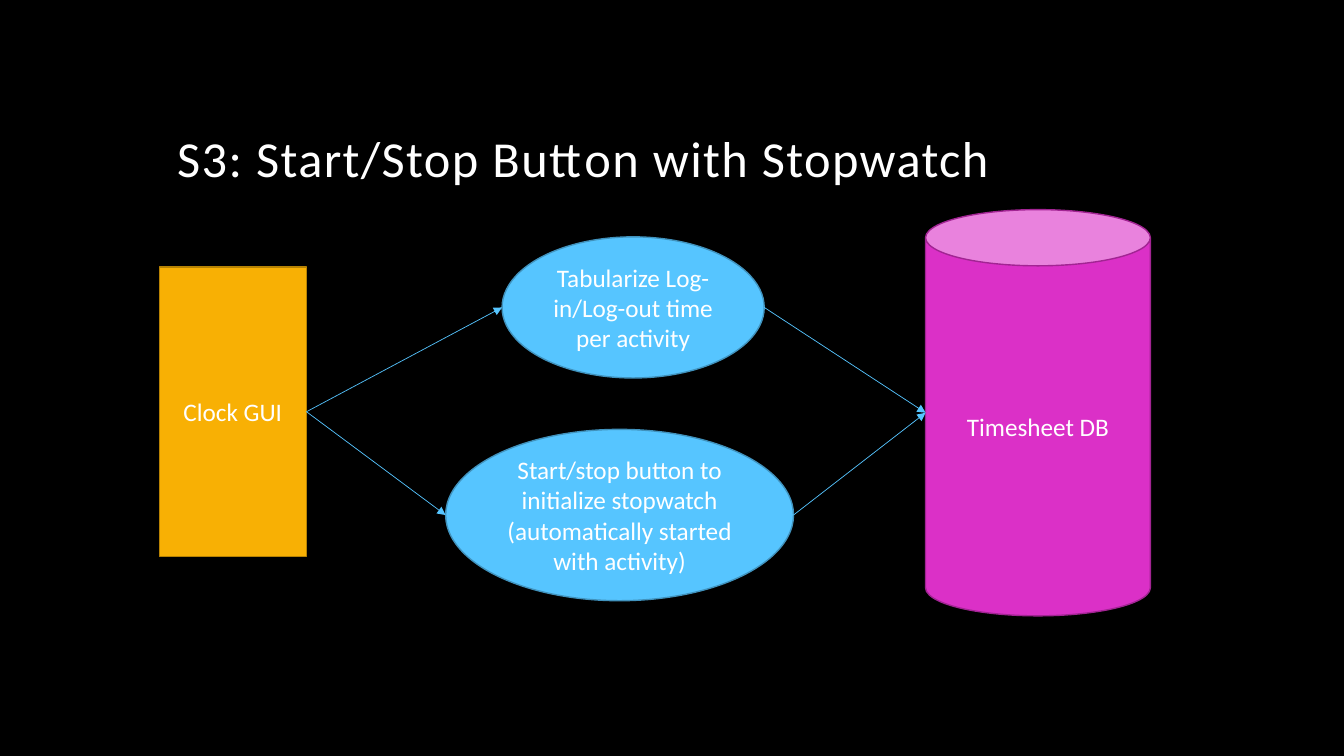
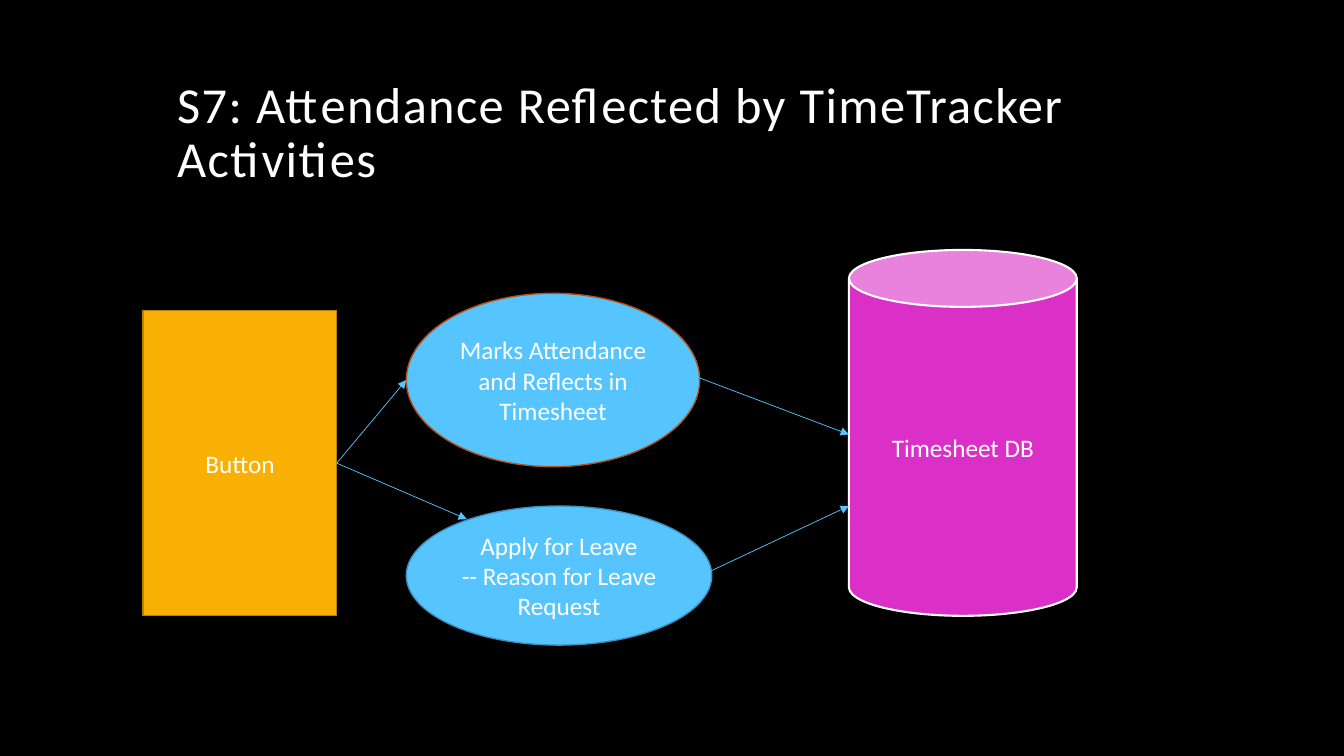
from dataclasses import dataclass

from lxml import etree
from pptx import Presentation
from pptx.dml.color import RGBColor
from pptx.enum.shapes import MSO_CONNECTOR, MSO_SHAPE
from pptx.enum.text import MSO_ANCHOR, PP_ALIGN
from pptx.oxml.ns import qn
from pptx.util import Inches, Pt

RECTANGLE = MSO_SHAPE.RECTANGLE
ELLIPSE = MSO_SHAPE.OVAL
CYLINDER = MSO_SHAPE.CAN
STRAIGHT = MSO_CONNECTOR.STRAIGHT
CENTER = PP_ALIGN.CENTER
LEFT = PP_ALIGN.LEFT
MIDDLE = MSO_ANCHOR.MIDDLE
BOTTOM = MSO_ANCHOR.BOTTOM
BLANK_LAYOUT = 6


@dataclass(frozen=True)
class Theme:
    background: str = "000000"
    text: str = "FFFFFF"
    screen: str = "F8B004"
    screen_edge: str = "B78203"
    process: str = "56C5FF"
    process_edge: str = "4092BD"
    attendance_edge: str = "B7511B"
    database: str = "DB30C7"
    database_edge: str = "A22493"
    font: str = "Calibri"
    title_size: float = 36
    title_spacing: float = 1
    body_size: float = 18
    edge_width: float = 1
    strong_edge_width: float = 1.5
    arrow_width: float = 0.5


THEME = Theme()


def rgb(value):
    return RGBColor.from_string(value)


def add_run(paragraph, text, size):
    run = paragraph.add_run()
    run.text = text
    run.font.name = THEME.font
    run.font.size = Pt(size)
    run.font.color.rgb = rgb(THEME.text)
    return run


def add_slide(deck, title):
    """Add a dark slide with its bottom-anchored title."""
    slide = deck.slides.add_slide(deck.slide_layouts[BLANK_LAYOUT])
    background = slide.background.fill
    background.solid()
    background.fore_color.rgb = rgb(THEME.background)

    frame = slide.shapes.add_textbox(
        Inches(1.66), Inches(0.42), Inches(10), Inches(1.5)).text_frame
    frame.word_wrap = True
    frame.vertical_anchor = BOTTOM
    paragraph = frame.paragraphs[0]
    paragraph.alignment = LEFT
    paragraph.line_spacing = 0.9
    run = add_run(paragraph, title, THEME.title_size)
    run.font._element.set("spc", str(int(THEME.title_spacing * 100)))
    return slide


def add_node(slide, kind, box, lines, fill, edge, edge_width=THEME.edge_width):
    node = slide.shapes.add_shape(kind, *map(Inches, box))
    node.shadow.inherit = False
    node.fill.solid()
    node.fill.fore_color.rgb = rgb(fill)
    node.line.color.rgb = rgb(edge)
    node.line.width = Pt(edge_width)
    frame = node.text_frame
    frame.word_wrap = True
    frame.vertical_anchor = MIDDLE
    for index, line in enumerate(lines):
        paragraph = frame.add_paragraph() if index else frame.paragraphs[0]
        paragraph.alignment = CENTER
        add_run(paragraph, line, THEME.body_size)
    return node


def add_screen(slide, box, label):
    return add_node(slide, RECTANGLE, box, [label], THEME.screen, THEME.screen_edge)


def add_process(slide, box, *lines, edge=THEME.process_edge):
    return add_node(slide, ELLIPSE, box, lines, THEME.process, edge)


def add_database(slide, box, edge=THEME.database_edge, edge_width=THEME.edge_width):
    return add_node(slide, CYLINDER, box, ["Timesheet DB"],
                    THEME.database, edge, edge_width)


def left_middle(node):
    return node.left, node.top + node.height // 2


def right_middle(node):
    return node.left + node.width, node.top + node.height // 2


def point(x, y):
    return Inches(x), Inches(y)


def add_arrow(slide, start, end):
    arrow = slide.shapes.add_connector(STRAIGHT, *start, *end)
    arrow.line.color.rgb = rgb(THEME.process)
    arrow.line.width = Pt(THEME.arrow_width)
    etree.SubElement(arrow.line._get_or_add_ln(), qn("a:tailEnd"), type="triangle")
    etree.SubElement(arrow._element.spPr, qn("a:effectLst"))


def build_stopwatch_slide(deck):
    slide = add_slide(deck, "S3: Start/Stop Button with Stopwatch")
    clock = add_screen(slide, (1.58, 2.65, 1.46, 2.87), "Clock GUI")
    database = add_database(slide, (9.18, 2.08, 2.23, 4.03))
    tabularize = add_process(slide, (4.98, 2.35, 2.6, 1.4),
                             "Tabularize Log-in/Log-out time per activity")
    stopwatch = add_process(
        slide, (4.42, 4.26, 3.45, 1.7),
        "Start/stop button to initialize stopwatch "
        "(automatically started with activity)")
    for process in (tabularize, stopwatch):
        add_arrow(slide, right_middle(clock), left_middle(process))
        add_arrow(slide, right_middle(process), left_middle(database))


def build_attendance_slide(deck):
    slide = add_slide(deck, "S7: Attendance Reflected by TimeTracker Activities")
    attendance = add_process(slide, (4.03, 2.91, 2.91, 1.72),
                             "Marks Attendance and Reflects in Timesheet",
                             edge=THEME.attendance_edge)
    add_process(slide, (4.03, 5.02, 3.03, 1.38),
                "Apply for Leave", "-- Reason for Leave Request")
    button = add_screen(slide, (1.42, 3.08, 1.92, 3.03), "Button")
    add_database(slide, (8.42, 2.48, 2.26, 3.63),
                 THEME.text, THEME.strong_edge_width)
    add_arrow(slide, right_middle(button), left_middle(attendance))
    add_arrow(slide, right_middle(button), point(4.63, 5.15))
    add_arrow(slide, point(6.94, 3.75), point(8.42, 4.31))
    add_arrow(slide, point(7.06, 5.66), point(8.42, 5.02))


def main():
    deck = Presentation()
    deck.slide_width = Inches(13.33)
    deck.slide_height = Inches(7.5)
    build_stopwatch_slide(deck)
    build_attendance_slide(deck)
    deck.save("out.pptx")


if __name__ == "__main__":
    main()
